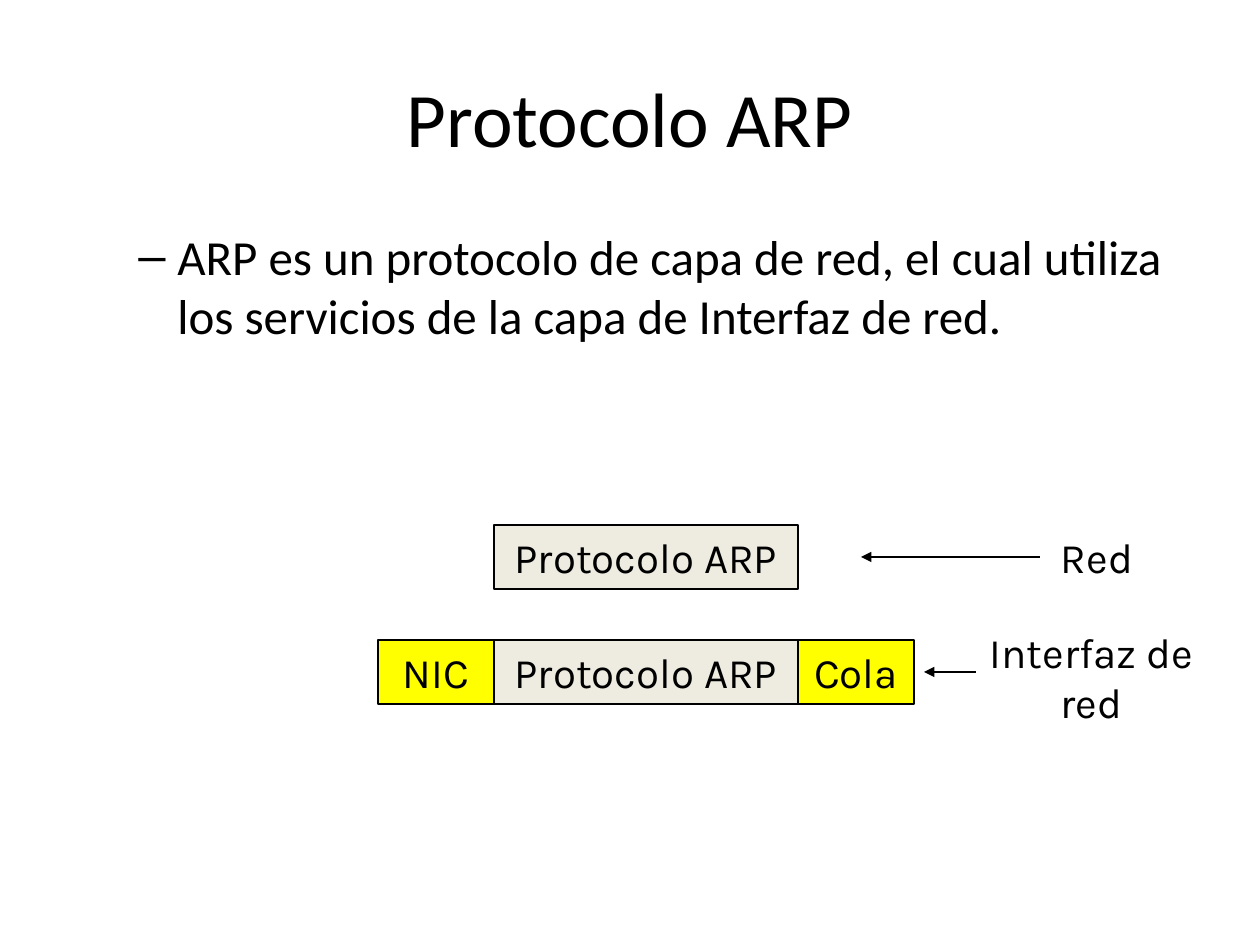
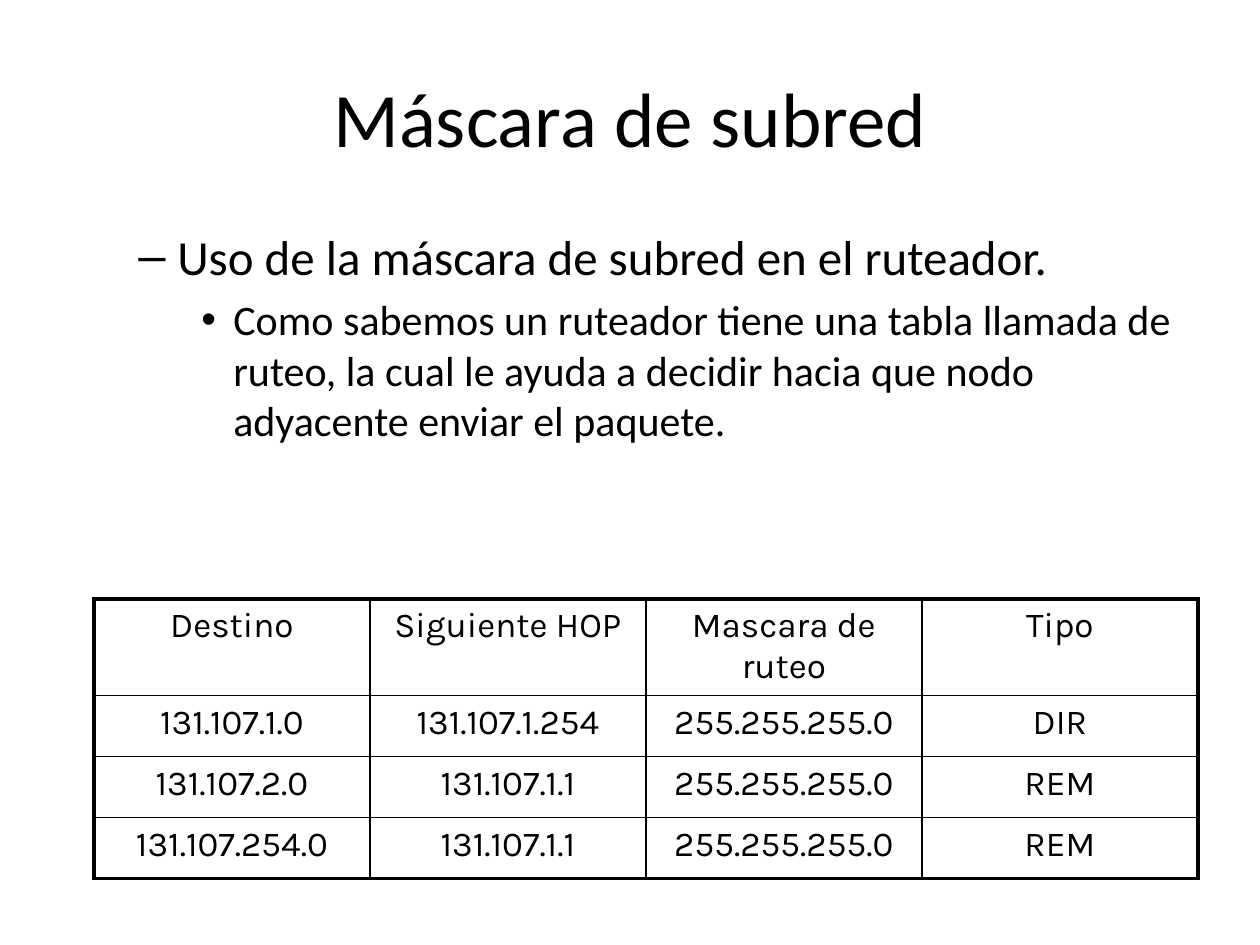
import pptx
import pptx.util
import pptx.oxml
import pptx.oxml.ns
from lxml import etree
from pptx.dml.color import RGBColor
from pptx.enum.shapes import MSO_CONNECTOR, MSO_SHAPE
from pptx.enum.text import MSO_ANCHOR, MSO_AUTO_SIZE, PP_ALIGN

# Content
ARP = {
    "title": "Protocolo ARP",
    "body": [(1, "ARP es un protocolo de capa de red, el cual utiliza "
                 "los servicios de la capa de Interfaz de red.")],
}
LAYERS = [
    {"top": 525, "left": 494, "parts": [("Protocolo ARP", "data")],
     "arrow": (1040, 861), "label": "Red", "label_box": (987, 525, 220, 63)},
    {"top": 640, "left": 378,
     "parts": [("NIC", "frame"), ("Protocolo ARP", "data"), ("Cola", "frame")],
     "arrow": (976, 924), "label": "Interfaz de red", "label_box": (955, 620, 273, 113)},
]
MASK = {
    "title": "Máscara de subred",
    "body": [(1, "Uso de la máscara de subred en el ruteador."),
             (2, "Como sabemos un ruteador tiene una tabla llamada de ruteo, la cual le "
                 "ayuda a decidir hacia que nodo adyacente enviar el paquete.")],
}
ROUTES = [
    ("Destino", "Siguiente HOP", "Mascara de ruteo", "Tipo"),
    ("131.107.1.0", "131.107.1.254", "255.255.255.0", "DIR"),
    ("131.107.2.0", "131.107.1.1", "255.255.255.0", "REM"),
    ("131.107.254.0", "131.107.1.1", "255.255.255.0", "REM"),
]

# Look
THEME = {
    "ink": "000000", "data": "EEECE1", "frame": "FFFF00",
    "title": {"name": "Calibri", "size": 44},
    1: {"name": "Calibri", "size": 28},
    2: {"name": "Calibri", "size": 24},
    "diagram": {"name": "Karla", "size": 24},
    "table": {"name": "Karla", "size": 20},
    "line": 0.75, "grid": 1, "edge": 2.25,
}
BULLETS = {1: ("–", 102, -39), 2: ("•", 158, -32)}  # character, margin, indent
TITLE_BOX = (63, 38, 1134, 158)
BODY_BOX = (63, 220, 1134, 624)
PART_WIDTH = {"data": 304, "frame": 116}
PART_HEIGHT = 64
TABLE_LEFT, TABLE_TOP, COL_WIDTH = 94, 599, 276
ROW_HEIGHTS = (94, 61, 61, 61)


def px(n):
    return pptx.util.Emu(round(n * 914400 / 126))


def color(key):
    return RGBColor.from_string(THEME[key])


def apply(obj, values):
    for name, value in values.items():
        setattr(obj, name, value)


def write(p, text, style, align=PP_ALIGN.CENTER):
    r = p.add_run()
    r.text = text
    p.alignment = align
    apply(r.font, {**THEME[style], "size": pptx.util.Pt(THEME[style]["size"])})
    r.font.color.rgb = color("ink")


def sub(parent, tag, **attrs):
    return etree.SubElement(parent, pptx.oxml.ns.qn(tag), attrs)


def add_text(slide, box, **frame):
    tf = slide.shapes.add_textbox(*map(px, box)).text_frame
    apply(tf, {"word_wrap": True, **frame})
    return tf


def add_bullet(p, level, text):
    char, margin, indent = BULLETS[level]
    write(p, text, level, PP_ALIGN.LEFT)
    p.level = level
    pPr = p._p.get_or_add_pPr()
    pPr.set("marL", str(px(margin)))
    pPr.set("indent", str(px(indent)))
    sub(pPr, "a:buFont", typeface="Arial")
    sub(pPr, "a:buChar", char=char)


def add_slide(prs, content):
    slide = prs.slides.add_slide(prs.slide_layouts[6])
    tf = add_text(slide, TITLE_BOX, vertical_anchor=MSO_ANCHOR.MIDDLE)
    write(tf.paragraphs[0], content["title"], "title")
    tf = add_text(slide, BODY_BOX)
    for i, (level, text) in enumerate(content["body"]):
        p = tf.add_paragraph() if i else tf.paragraphs[0]
        if i:
            p.space_before = pptx.util.Pt(5)
        add_bullet(p, level, text)
    return slide


def add_part(slide, box, text, kind):
    sp = slide.shapes.add_shape(MSO_SHAPE.RECTANGLE, *map(px, box))
    sp.shadow.inherit = False
    sp.fill.solid()
    sp.fill.fore_color.rgb = color(kind)
    sp.line.color.rgb = color("ink")
    sp.line.width = pptx.util.Pt(THEME["line"])
    apply(sp.text_frame, {"word_wrap": True, "vertical_anchor": MSO_ANCHOR.TOP})
    write(sp.text_frame.paragraphs[0], text, "diagram")


def add_arrow(slide, x1, x2, y):
    c = slide.shapes.add_connector(MSO_CONNECTOR.STRAIGHT, px(x1), px(y), px(x2), px(y))
    c.line.color.rgb = color("ink")
    c.line.width = pptx.util.Pt(THEME["line"])
    sub(c.line._get_or_add_ln(), "a:tailEnd", type="triangle")
    sub(c._element.spPr, "a:effectLst")


def add_layer(slide, layer):
    left, top = layer["left"], layer["top"]
    for text, kind in layer["parts"]:
        add_part(slide, (left, top, PART_WIDTH[kind], PART_HEIGHT), text, kind)
        left += PART_WIDTH[kind]
    add_arrow(slide, *layer["arrow"], top + PART_HEIGHT // 2)
    tf = add_text(slide, layer["label_box"], auto_size=MSO_AUTO_SIZE.SHAPE_TO_FIT_TEXT)
    write(tf.paragraphs[0], layer["label"], "diagram")


def set_borders(cell, edges):
    """Draw the four sides; edges tells which lie on the table's outline."""
    tcPr = cell._tc.get_or_add_tcPr()
    for i, (side, outer) in enumerate(edges.items()):
        width = pptx.util.Pt(THEME["edge" if outer else "grid"])
        ln = pptx.oxml.parse_xml(
            f'<a:ln{side} {pptx.oxml.ns.nsdecls("a")} w="{width}"><a:solidFill>'
            f'<a:srgbClr val="{THEME["ink"]}"/></a:solidFill></a:ln{side}>')
        tcPr.insert(i, ln)


def add_routes(slide, rows):
    n_rows, n_cols = len(rows), len(rows[0])
    table = slide.shapes.add_table(
        n_rows, n_cols, px(TABLE_LEFT), px(TABLE_TOP),
        px(COL_WIDTH * n_cols), px(sum(ROW_HEIGHTS))).table
    apply(table, {"first_row": False, "horz_banding": False})
    for col in table.columns:
        col.width = px(COL_WIDTH)
    for i, row in enumerate(rows):
        table.rows[i].height = px(ROW_HEIGHTS[i])
        for j, text in enumerate(row):
            cell = table.cell(i, j)
            cell.fill.background()
            write(cell.text_frame.paragraphs[0], text, "table")
            set_borders(cell, {"L": j == 0, "R": j == n_cols - 1,
                               "T": i == 0, "B": i == n_rows - 1})


def main():
    prs = pptx.Presentation()
    apply(prs, {"slide_width": px(1260), "slide_height": px(945)})
    slide = add_slide(prs, ARP)
    for layer in LAYERS:
        add_layer(slide, layer)
    add_routes(add_slide(prs, MASK), ROUTES)
    prs.save("out.pptx")


if __name__ == "__main__":
    main()
